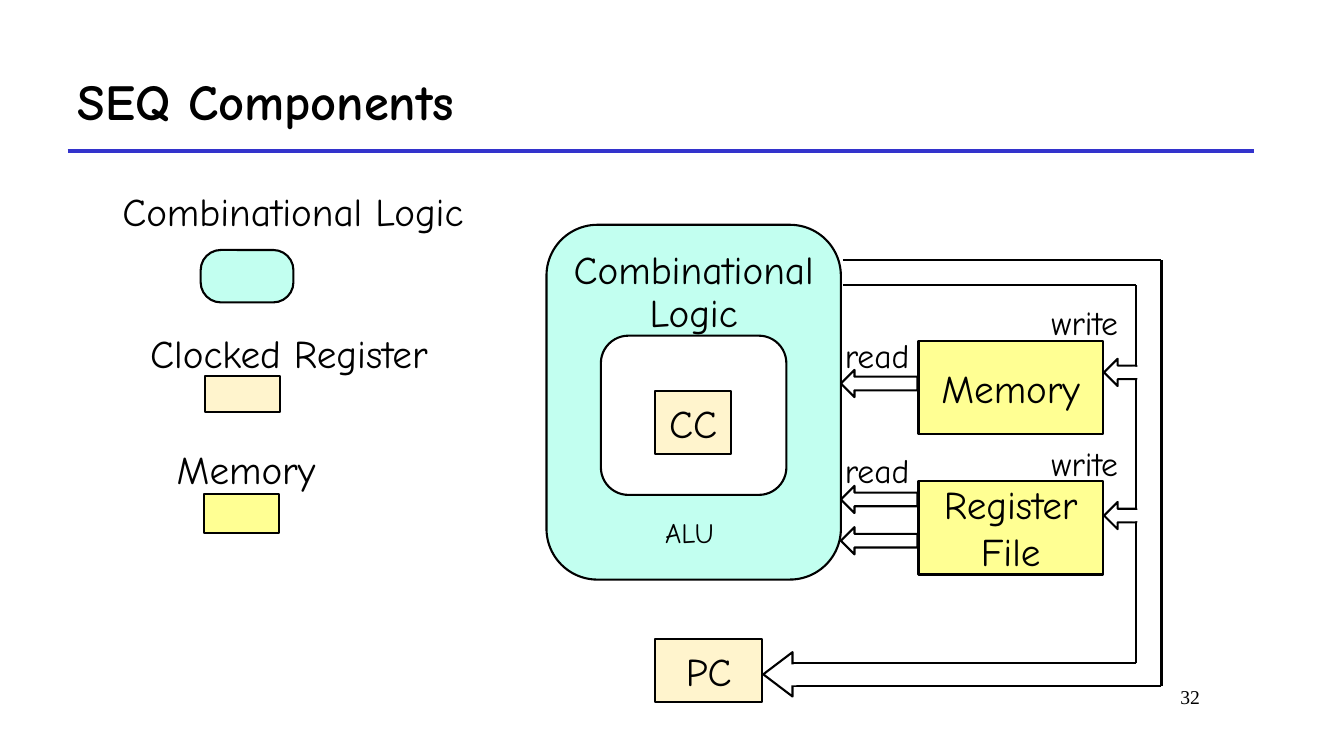
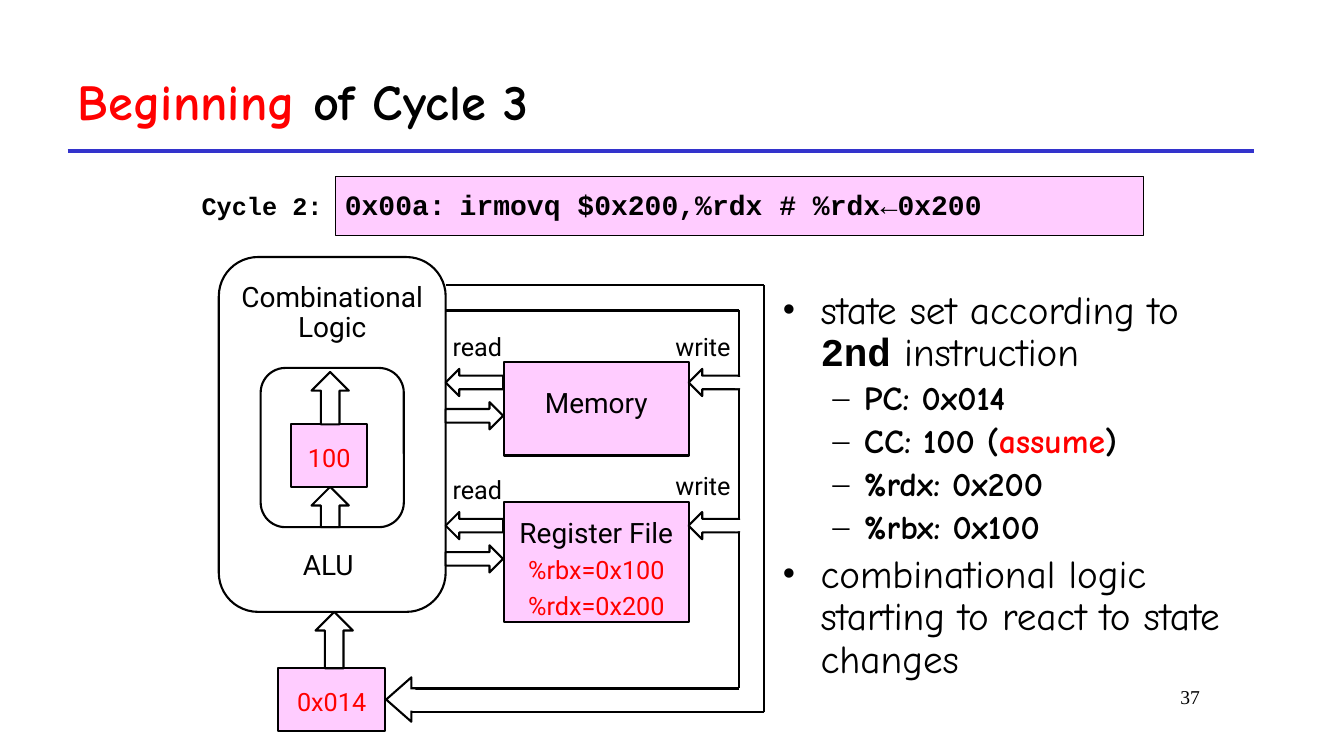
from itertools import pairwise

from lxml import etree
from pptx import Presentation
from pptx.dml.color import RGBColor
from pptx.enum.shapes import MSO_CONNECTOR, MSO_SHAPE as SHAPE
from pptx.enum.text import MSO_ANCHOR as ANCHOR, PP_ALIGN as ALIGN
from pptx.oxml.ns import qn
from pptx.util import Inches, Pt

BLACK = RGBColor(0x00, 0x00, 0x00)
WHITE = RGBColor(0xFF, 0xFF, 0xFF)
RED = RGBColor(0xFF, 0x00, 0x00)
BLUE = RGBColor(0x33, 0x33, 0xCC)
MINT = RGBColor(0xC2, 0xFF, 0xF0)
YELLOW = RGBColor(0xFF, 0xFF, 0x93)
CREAM = RGBColor(0xFF, 0xF4, 0xCD)
PINK = RGBColor(0xFF, 0xCC, 0xFF)

HAND, SANS, MONO, SERIF = "Comic Neue", "Roboto", "Courier New", "Times New Roman"


def put_text(tf, *paras, font=HAND, size=28, color=BLACK, bold=False,
             align=ALIGN.LEFT, spacing=1.0):
    """Fill a text frame; each paragraph is a string or a list of strings and (text, overrides)."""
    for i, runs in enumerate(paras):
        p = tf.paragraphs[0] if i == 0 else tf.add_paragraph()
        p.alignment, p.line_spacing = align, spacing
        for run in [runs] if isinstance(runs, str) else runs:
            text, own = (run, {}) if isinstance(run, str) else run
            r = p.add_run()
            r.text = text
            r.font.name = own.get("font", font)
            r.font.size = Pt(own.get("size", size))
            r.font.bold = own.get("bold", bold)
            r.font.color.rgb = own.get("color", color)
        if i:
            p.space_before = Pt(0.2 * p.runs[0].font.size.pt)


def add_text(s, box, *paras, **fmt):
    """Add a wrapping text box."""
    tf = s.shapes.add_textbox(*map(Inches, box)).text_frame
    tf.word_wrap = True
    put_text(tf, *paras, **fmt)
    return tf


def add_bullet(p, left, first, bullet):
    """Give a paragraph a hanging indent and a bullet."""
    pPr = p._p.get_or_add_pPr()
    pPr.set("marL", str(Inches(left)))
    pPr.set("indent", str(Inches(first)))
    etree.SubElement(pPr, qn("a:buFont")).set("typeface", SERIF)
    etree.SubElement(pPr, qn("a:buChar")).set("char", bullet)


def add_shape(s, kind, box, fill=WHITE, line=BLACK, width=1.5, adj=()):
    """Add a flat shape; no line is drawn when line is None."""
    sp = s.shapes.add_shape(kind, *map(Inches, box))
    sp.shadow.inherit = False
    sp.fill.solid()
    sp.fill.fore_color.rgb = fill
    if line is None:
        sp.line.fill.background()
    else:
        sp.line.color.rgb = line
        sp.line.width = Pt(width)
    for i, value in enumerate(adj):
        sp.adjustments[i] = value
    return sp


def add_block(s, box, fill, *paras, top=0, bottom=0, **fmt):
    """Add a rectangle with centred text."""
    tf = add_shape(s, SHAPE.RECTANGLE, box, fill).text_frame
    tf.word_wrap = True
    tf.vertical_anchor = ANCHOR.MIDDLE
    tf.margin_left = tf.margin_right = 0
    tf.margin_top, tf.margin_bottom = Inches(top), Inches(bottom)
    put_text(tf, *paras, align=ALIGN.CENTER, **fmt)


def add_line(s, start, end, color=BLACK, width=1.5):
    """Add a straight line without shadow."""
    c = s.shapes.add_connector(MSO_CONNECTOR.STRAIGHT, *map(Inches, (*start, *end)))
    c.line.color.rgb = color
    c.line.width = Pt(width)
    etree.SubElement(c._element.spPr, qn("a:effectLst"))


def add_slide(prs, title, number):
    """Start a slide with title, rule and slide number."""
    s = prs.slides.add_slide(prs.slide_layouts[5])
    t = s.shapes.title
    t.left, t.top, t.width, t.height = map(Inches, (0.67, 0.5, 11.78, 1))
    t.text_frame.vertical_anchor = ANCHOR.MIDDLE
    put_text(t.text_frame, title, size=36, bold=True)
    add_line(s, (0.67, 1.5), (12.44, 1.5), BLUE, 3)
    add_text(s, (10.11, 6.75, 1.89, 0.5), number, font=SERIF, size=14, align=ALIGN.RIGHT)
    return s


def logic_block(s, x, y, w, core_w, fill, font, size):
    """Draw the combinational logic with its inner core."""
    add_shape(s, SHAPE.ROUNDED_RECTANGLE, (x, y, w, 3.52), fill, adj=[0.173])
    add_shape(s, SHAPE.ROUNDED_RECTANGLE, (x + (w - core_w) / 2, y + 1.1, core_w, 1.58),
              adj=[0.173])
    fmt = dict(font=font, align=ALIGN.CENTER, spacing=0.9)
    add_text(s, (x + 0.05, y + 0.21, w - 0.1, 0.95), "Combinational Logic", size=size, **fmt)
    add_text(s, (x - 0.04, y + 2.87, w, 0.4), "ALU", size=20, **fmt)


def bus(s, x, y, tip, head_w):
    """Draw the double line from the logic round to the arrow at the PC."""
    base = tip + head_w
    for dx, top, bottom in ((2.91, 0.25, 4.0), (3.16, 0, 4.23)):
        corners = [(x, y + top), (x + dx, y + top), (x + dx, y + bottom), (base, y + bottom)]
        for start, end in pairwise(corners):
            add_line(s, start, end)
    add_shape(s, SHAPE.LEFT_ARROW, (tip, y + 3.89, head_w, 0.44), adj=[0.5, 1])
    add_shape(s, SHAPE.RECTANGLE, (base - 0.06, y + 4.01, 0.1, 0.21), line=None)


def write_arrow(s, x, y, w):
    """Draw an arrow that branches off the bus."""
    add_shape(s, SHAPE.LEFT_ARROW, (x, y, w, 0.27))
    add_shape(s, SHAPE.RECTANGLE, (x + w - 0.04, y + 0.08, 0.08, 0.11), line=None)


def legend(s, x, y):
    """Draw the key of the three component kinds."""
    entries = [
        ("Combinational Logic", 0, 0, 4.31, SHAPE.ROUNDED_RECTANGLE, MINT,
         (1.24, 0.62, 0.92, 0.52), [0.386]),
        ("Clocked Register", 0.39, 1.41, 3.45, SHAPE.RECTANGLE, CREAM,
         (1.28, 1.87, 0.75, 0.36), []),
        ("Memory", 0.42, 2.56, 2.54, SHAPE.RECTANGLE, YELLOW,
         (1.27, 3.04, 0.75, 0.39), []),
    ]
    for name, dx, dy, w, kind, fill, (sx, sy, sw, sh), adj in entries:
        add_shape(s, kind, (x + sx, y + sy, sw, sh), fill, adj=adj)
        add_text(s, (x + dx, y + dy, w, 0.52), name, align=ALIGN.CENTER, spacing=0.9)


def components_diagram(s, x, y):
    """Draw the processor with its coloured components."""
    logic_block(s, x, y, 2.92, 1.84, MINT, HAND, 28)
    for name, dx, dy, w, h, fill in (
            ("Register File", 3.69, 2.54, 1.83, 0.93, YELLOW),
            ("Memory", 3.69, 1.15, 1.83, 0.93, YELLOW),
            ("CC", 1.08, 1.65, 0.75, 0.62, CREAM),
            ("PC", 1.08, 4.11, 1.06, 0.62, CREAM)):
        add_block(s, (x + dx, y + dy, w, h), fill, name)
    for dy in (1.44, 2.59, 3.0):
        add_shape(s, SHAPE.LEFT_ARROW, (x + 2.92, y + dy, 0.76, 0.27))
    bus(s, x + 2.94, y + 0.35, x + 2.15, 0.29)
    for dy in (1.33, 2.75):
        write_arrow(s, x + 5.53, y + dy, 0.32)
    for word, dx, dy in (("read", 2.86, 1.04), ("read", 2.86, 2.18),
                         ("write", 4.91, 0.72), ("write", 4.91, 2.11)):
        add_text(s, (x + dx, y + dy, 1.19, 0.51), word, size=24)


def state_diagram(s, x, y):
    """Draw the processor with the values it holds."""
    logic_block(s, x, y, 2.25, 1.42, WHITE, SANS, 20)
    add_block(s, (x + 2.83, y + 2.43, 1.83, 1.19), PINK, "Register File",
              *[[(text, dict(size=18, color=RED))] for text in ("%rbx=0x100", "%rdx=0x200")],
              font=SANS, size=20, top=0.12)
    add_block(s, (x + 2.83, y + 1.04, 1.83, 0.93), PINK, "Memory",
              font=SANS, size=20, bottom=0.13)
    for value, dx, dy, w in (("100", 0.72, 1.66, 0.75), ("0x014", 0.59, 4.08, 1.06)):
        add_block(s, (x + dx, y + dy, w, 0.62), PINK, value, font=SANS, size=18,
                  color=RED, top=0.04)
    bus(s, x + 2.25, y + 0.28, x + 1.66, 0.25)
    for dy in (1.11, 2.53):
        add_shape(s, SHAPE.LEFT_ARROW, (x + 2.25, y + dy, 0.57, 0.27))
        add_shape(s, SHAPE.RIGHT_ARROW, (x + 2.25, y + dy + 0.33, 0.57, 0.27))
        write_arrow(s, x + 4.66, y + dy, 0.5)
    for dx, dy, h in ((0.96, 3.52, 0.56), (0.92, 1.14, 0.52), (0.92, 2.28, 0.4)):
        add_shape(s, SHAPE.UP_ARROW, (x + dx, y + dy, 0.37, h))
    for word, dx, dy in (("read", 2.22, 0.69), ("read", 2.22, 2.11),
                         ("write", 4.43, 0.69), ("write", 4.43, 2.07)):
        add_text(s, (x + dx, y + dy, 0.98, 0.4), word, font=SANS, size=18)


def code_line(s, x, y):
    """Draw the instruction bar with its cycle label."""
    add_shape(s, SHAPE.RECTANGLE, (x + 1.33, y, 8.01, 0.59), PINK, width=0)
    code = ["irmovq $0x200,%rdx # %rdx", ("←", dict(bold=False)), "0x200"]
    for text, dx, dy, w, size in (("0x00a:", 1.42, 0.15, 1.12, 20), (code, 2.56, 0.15, 6, 20),
                                  ("Cycle 2:", 0, 0.17, 1.3, 18)):
        tf = add_text(s, (x + dx, y + dy, w, 0.3), text, font=MONO, size=size,
                      bold=True, spacing=0.9)
        tf.margin_left = tf.margin_right = tf.margin_top = tf.margin_bottom = 0


def state_notes(s, box):
    """Write the bullets about the state."""
    sub = dict(size=24, bold=True)
    items = [
        (0, ["state set according to ", ("2nd", dict(font=MONO, bold=True)), " instruction"]),
        (1, [("PC: 0x014", sub)]),
        (1, [("CC: 100 (", sub), ("assume", dict(sub, color=RED)), (")", sub)]),
        (1, [("%rdx: 0x200", sub)]),
        (1, [("%rbx: 0x100", sub)]),
        (0, ["combinational logic starting to react to state changes"]),
    ]
    tf = add_text(s, box, *[runs for _, runs in items], spacing=0.9)
    for p, (level, _) in zip(tf.paragraphs, items):
        p.level = level
        add_bullet(p, *((0.81, -0.31, "–") if level else (0.38, -0.38, "•")))


def main():
    """Build and save the slides."""
    prs = Presentation()
    prs.slide_width, prs.slide_height = Inches(13.33), Inches(7.5)

    s = add_slide(prs, "SEQ Components", "32")
    legend(s, 0.75, 1.86)
    components_diagram(s, 5.42, 2.23)

    s = add_slide(prs, [("Beginning", dict(color=RED)), " of Cycle 3"], "37")
    state_diagram(s, 2.17, 2.55)
    state_notes(s, (7.66, 2.83, 4.79, 4.01))
    code_line(s, 2, 1.75)

    prs.save("out.pptx")


if __name__ == "__main__":
    main()
